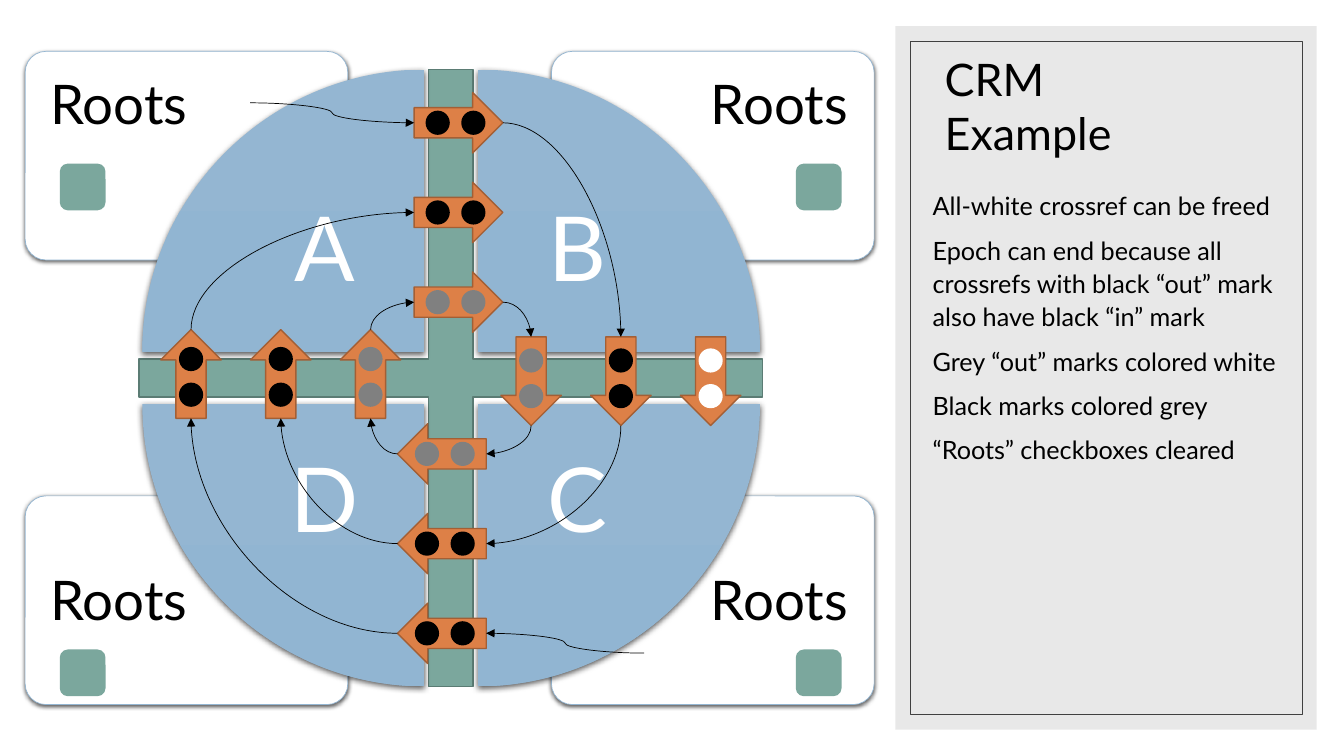
from lxml.etree import SubElement
from pptx import Presentation
from pptx.dml.color import RGBColor
from pptx.enum.shapes import MSO_CONNECTOR, MSO_SHAPE
from pptx.enum.text import MSO_ANCHOR, MSO_AUTO_SIZE, PP_ALIGN
from pptx.oxml.ns import qn
from pptx.util import Inches, Pt

FONT = "Lato"
BLACK, GREY, WHITE = "000000", "808080", "FFFFFF"
GREEN, ORANGE, BLUE = "7BA79D", "DD8047", "94B6D2"
RING_PITCH, HALF_ARROW, ARROW_HEIGHT, MARK = 8.9, 4.4, 6, 2.4
ARC_HANDLE = 0.55
DIRECTIONS = {0: (1, 0), 90: (0, 1), 180: (-1, 0), 270: (0, -1)}
# side: innermost centre, outward step, rotation, mark colours from the inside out
SIDES = {
    "left": ((36.75, 37.1), (-1, 0), 270, (GREY, BLACK, BLACK)),
    "top": ((45.47, 29.98), (0, -1), 0, (GREY, BLACK, BLACK)),
    "right": ((52.68, 37.82), (1, 0), 90, (GREY, BLACK, WHITE)),
    "bottom": ((43.83, 45.03), (0, 1), 180, (GREY, BLACK, BLACK)),
}
REFERENCES = [
    ("top", 2, "right", 1), ("right", 1, "bottom", 1), ("bottom", 1, "left", 1),
    ("top", 0, "right", 0), ("right", 0, "bottom", 0), ("bottom", 0, "left", 0),
    ("left", 0, "top", 0), ("bottom", 2, "left", 2), ("left", 2, "top", 1),
]
NOTES = [
    "All-white crossref can be freed",
    "Epoch can end because all crossrefs with black “out” mark also have black “in” mark",
    "Grey “out” marks colored white",
    "Black marks colored grey",
    "“Roots” checkboxes cleared",
]


def squares(*counts):
    """Convert grid squares, ten to the inch, to lengths."""
    return [Inches(count / 10) for count in counts]


def color(value):
    """Turn a hex string into a colour."""
    return RGBColor.from_string(value)


def assign(target, **values):
    """Set each named format value on the target."""
    for name, value in values.items():
        setattr(target, name, value)


def paint(shape, fill=None, line=None, width=1, alpha=None):
    """Give a shape its fill, outline and no shadow."""
    shape.shadow.inherit = False
    if fill:
        shape.fill.solid()
        shape.fill.fore_color.rgb = color(fill)
        if alpha:
            tint = shape._element.spPr.find(".//" + qn("a:srgbClr"))
            SubElement(tint, qn("a:alpha"), val=str(alpha * 1000))
    else:
        shape.fill.background()
    if line:
        shape.line.color.rgb = color(line)
        shape.line.width = Pt(width)
    else:
        shape.line.fill.background()


def cast_shadow(shape, blur, distance):
    """Add a soft black shadow falling downwards."""
    effects = shape._element.spPr.find(qn("a:effectLst"))
    shadow = SubElement(effects, qn("a:outerShdw"), blurRad=str(Pt(blur)),
                        dist=str(Pt(distance)), dir="5400000", rotWithShape="0")
    tint = SubElement(shadow, qn("a:srgbClr"), val=BLACK)
    SubElement(tint, qn("a:alpha"), val="63000")


def add_preset(slide, kind, box, rotation=0, adjustment=None, **look):
    """Add a painted preset shape in a box of grid squares."""
    shape = slide.shapes.add_shape(kind, *squares(*box))
    shape.rotation = rotation
    if adjustment is not None:
        shape.adjustments[0] = adjustment
    paint(shape, **look)
    return shape


def write(shape, lines, size, ink, align=PP_ALIGN.LEFT, spacing=0.9, before=0,
          anchor=MSO_ANCHOR.TOP, margins=(1, 0.5, 1, 0.5)):
    """Fill a shape with paragraphs in one format."""
    frame = shape.text_frame
    left, top, right, bottom = squares(*margins)
    assign(frame, word_wrap=True, auto_size=MSO_AUTO_SIZE.NONE, vertical_anchor=anchor,
           margin_left=left, margin_top=top, margin_right=right, margin_bottom=bottom)
    frame.text = "\n".join(lines)
    for paragraph in frame.paragraphs:
        assign(paragraph, alignment=align, line_spacing=spacing,
               space_before=Pt(before), space_after=Pt(0))
        for run in paragraph.runs:
            assign(run.font, name=FONT, size=Pt(size))
            run.font.color.rgb = color(ink)


def place(slide, placeholder, box):
    """Move a placeholder to a box and bring it to the front."""
    left, top, width, height = squares(*box)
    assign(placeholder, left=left, top=top, width=width, height=height)
    slide.shapes._spTree.append(placeholder._element)


def add_roots(slide, on_right, on_bottom):
    """Add a roots card in one corner of the diagram."""
    box = (54.7 if on_right else 2.5, 49.2 if on_bottom else 5.1, 32, 20.7)
    card = add_preset(slide, MSO_SHAPE.ROUNDED_RECTANGLE, box, adjustment=0.1,
                      fill=WHITE, line=BLUE, width=0.5)
    cast_shadow(card, 3, 1)
    sides = (11.5, 2) if on_right else (1.9, 11.5)
    ends = (7.1, 1.9) if on_bottom else (2, 7.1)
    write(card, ["Roots"], 39, BLACK, PP_ALIGN.RIGHT if on_right else PP_ALIGN.LEFT,
          margins=(sides[0], ends[0], sides[1], ends[1]))


def add_quadrant(slide, letter, x_sign, y_sign, radius=28):
    """Add a lettered quarter disc beside the green cross."""
    corner_x, corner_y = 44.75 + 2.63 * x_sign, 37.5 + 2.6 * y_sign
    outline = [(1, 0), (1, ARC_HANDLE), (ARC_HANDLE, 1), (0, 1)]
    builder = slide.shapes.build_freeform(*squares(corner_x, corner_y))
    builder.add_line_segments(
        [squares(corner_x + x_sign * radius * across, corner_y + y_sign * radius * down)
         for across, down in outline], close=True)
    quadrant = builder.convert_to_shape()
    bend_arc(quadrant)
    paint(quadrant, BLUE)
    quadrant.fill.gradient()
    quadrant.fill.gradient_angle = 270
    for stop, shade in zip(quadrant.fill.gradient_stops, (BLUE, "91B5D2")):
        stop.color.rgb = color(shade)
    cast_shadow(quadrant, 4.5, 1.5)
    sides = (13.2, 5) if x_sign < 0 else (5, 13.2)
    ends = (13.2, 5) if y_sign < 0 else (5, 13.2)
    write(quadrant, [letter], 64, WHITE, PP_ALIGN.CENTER, anchor=MSO_ANCHOR.MIDDLE,
          margins=(sides[0], ends[0], sides[1], ends[1]))


def bend_arc(quadrant):
    """Merge the last three line segments into one Bezier curve."""
    segments = quadrant._element.spPr.findall(".//" + qn("a:lnTo"))[1:]
    curve = segments[0].getparent().makeelement(qn("a:cubicBezTo"))
    segments[0].addprevious(curve)
    for segment in segments:
        curve.append(segment[0])
        segment.getparent().remove(segment)


def along(side, ring, offset=0):
    """Find a point on a crossref arrow, measured forwards from its centre."""
    (x, y), (step_x, step_y), rotation, _ = SIDES[side]
    forward_x, forward_y = DIRECTIONS[rotation]
    return (x + ring * RING_PITCH * step_x + offset * forward_x,
            y + ring * RING_PITCH * step_y + offset * forward_y)


def add_crossref(slide, side, ring):
    """Add a crossref arrow with its out and in marks."""
    rotation, marks = SIDES[side][2:]
    x, y = along(side, ring)
    box = (x - HALF_ARROW, y - ARROW_HEIGHT / 2, 2 * HALF_ARROW, ARROW_HEIGHT)
    add_preset(slide, MSO_SHAPE.RIGHT_ARROW, box, rotation, fill=ORANGE, line="A35F35")
    for offset in (1.48, -2.06):
        x, y = along(side, ring, offset)
        add_preset(slide, MSO_SHAPE.OVAL, (x - MARK / 2, y - MARK / 2, MARK, MARK),
                   (rotation + 90) % 360, fill=marks[ring])


def add_curve(slide, start, end, preset="curvedConnector2", upright=False):
    """Add a curved arrow; an upright one leaves its start vertically."""
    if upright:
        middle_x, middle_y = (start[0] + end[0]) / 2, (start[1] + end[1]) / 2
        half_x, half_y = (end[1] - start[1]) / 2, (start[0] - end[0]) / 2
        start = (middle_x - half_x, middle_y - half_y)
        end = (middle_x + half_x, middle_y + half_y)
    curve = slide.shapes.add_connector(MSO_CONNECTOR.CURVE, *squares(*start, *end))
    curve.line.color.rgb = color(BLACK)
    curve.line.width = Pt(0.5)
    properties = curve._element.spPr
    properties.find(qn("a:prstGeom")).set("prst", preset)
    if upright:
        properties.find(qn("a:xfrm")).set("rot", "5400000")
    SubElement(properties.find(qn("a:ln")), qn("a:tailEnd"), type="triangle")
    SubElement(properties, qn("a:effectLst"))


def add_panel(slide):
    """Add the grey side panel with its title and notes."""
    add_preset(slide, MSO_SHAPE.RECTANGLE, (88.8, 2.6, 41.8, 69.8), fill="D9D9D9", alpha=60)
    add_preset(slide, MSO_SHAPE.RECTANGLE, (90.3, 4.1, 38.9, 66.8), line="404040", width=0.5)
    title, body = slide.placeholders
    place(slide, title, (92.7, 6.6, 34.4, 9.7))
    write(title, ["CRM\vExample"], 32, BLACK, spacing=1.0, anchor=MSO_ANCHOR.BOTTOM)
    place(slide, body, (91.5, 18.1, 37.7, 51.7))
    write(body, NOTES, 18, BLACK, spacing=1.1, before=8)
    for paragraph in body.text_frame.paragraphs:
        properties = paragraph._p.get_or_add_pPr()
        properties.set("marL", "0")
        properties.set("indent", "0")
        SubElement(properties, qn("a:buNone"))


def main():
    """Build the slide and save it."""
    presentation = Presentation()
    assign(presentation, slide_width=Inches(13.33), slide_height=Inches(7.5))
    slide = presentation.slides.add_slide(presentation.slide_layouts[1])
    add_panel(slide)
    add_preset(slide, MSO_SHAPE.CROSS, (13.8, 6.9, 61.8, 61.2), adjustment=0.469,
               fill=GREEN, line="5B7C74")
    corners = [(right, bottom) for bottom in (True, False) for right in (True, False)]
    for right, bottom in corners:
        add_roots(slide, right, bottom)
    for letter, x_sign, y_sign in (("A", -1, -1), ("B", 1, -1), ("C", 1, 1), ("D", -1, 1)):
        add_quadrant(slide, letter, x_sign, y_sign)
    for side in SIDES:
        for ring in range(3):
            add_crossref(slide, side, ring)
    for right, bottom in corners:
        box = (79 if right else 6, 64.5 if bottom else 16.3, 4.4, 4.5)
        add_preset(slide, MSO_SHAPE.ROUNDED_RECTANGLE, box, fill=GREEN, line=GREEN)
    for source, source_ring, target, target_ring in REFERENCES:
        add_curve(slide, along(source, source_ring, HALF_ARROW),
                  along(target, target_ring, -HALF_ARROW),
                  upright=source in ("left", "right"))
    for root, side in (((24.8, 10.2), "top"), ((63.9, 64.8), "bottom")):
        add_curve(slide, root, along(side, 2, -HALF_ARROW), "curvedConnector3")
    presentation.save("out.pptx")


main()
